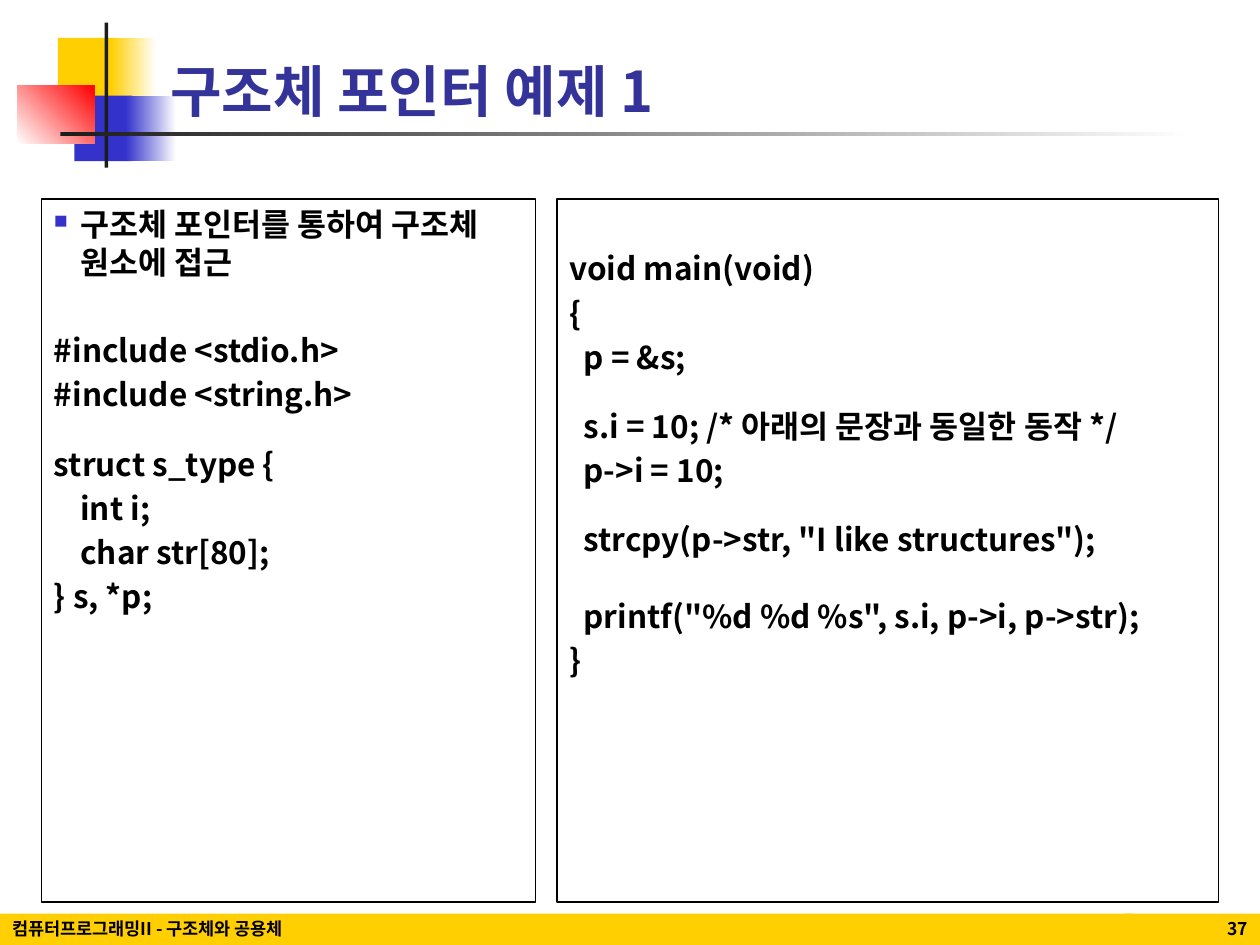
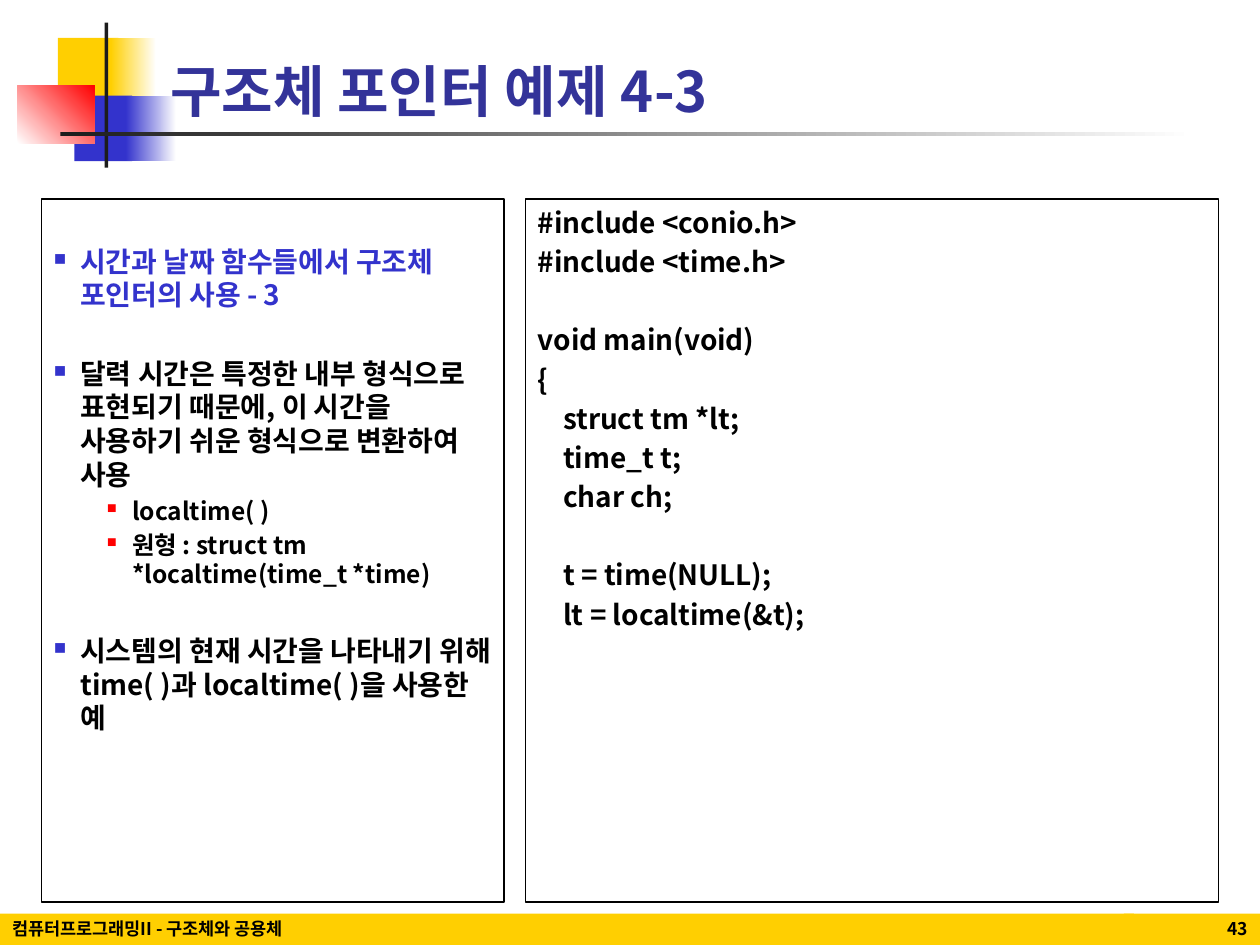
from dataclasses import dataclass

from lxml import etree
from pptx import Presentation
from pptx import util as u
from pptx.dml.color import RGBColor
from pptx.enum import shapes, text
from pptx.oxml.ns import qn

FONT = "Noto Sans CJK KR"
BLACK, WHITE, CHARCOAL = "000000", "FFFFFF", "1C1C1C"
YELLOW, BLUE, RED, NAVY = "FFCF01", "3333CC", "FF0000", "333399"
FOOTER = "컴퓨터프로그래밍II - 구조체와 공용체"

PANEL_TOP, PANEL_HEIGHT = 1.58, 5.58
PANEL_LEFT, PANEL_RIGHT, PANEL_GAP = 0.33, 9.67, 0.17
LINE_HEIGHT = 1.2  # of the font size
PARAGRAPH_GAP = 0.2

# left, top, width, height, first colour, last colour, angle
MOTIF = [
    (0.46, 0.3, 0.48, 0.52, YELLOW, None, 0),
    (0.88, 0.3, 0.36, 0.52, YELLOW, WHITE, 0),
    (0.59, 0.76, 0.46, 0.52, BLUE, None, 0),
    (1, 0.76, 0.4, 0.52, BLUE, WHITE, 0),
    (0.14, 0.68, 0.61, 0.46, WHITE, RED, 45),
    (0.83, 0.18, 0.03, 1.15, CHARCOAL, None, 0),
    (0.48, 1.05, 9, 0.03, CHARCOAL, WHITE, 0),
]


@dataclass
class Line:
    """One paragraph; skip is the free space above it, in lines."""
    content: str
    size: int
    skip: float = 0
    bullet: str = ""
    bullet_size: int = 60
    color: str = BLACK
    margin: float = 0.21
    hanging: float = 0.21
    level: int = 0


def rgb(color):
    return RGBColor.from_string(color)


def set_font(para, size, color):
    font = para.font
    font.name, font.size, font.bold = FONT, u.Pt(size), True
    font.color.rgb = rgb(color)
    defaults = para._p.pPr.find(qn("a:defRPr"))
    etree.SubElement(defaults, qn("a:ea"), typeface=FONT)


def add_bar(slide, left, top, width, height, color, end_color=None, angle=0):
    bar = slide.shapes.add_shape(
        shapes.MSO_SHAPE.RECTANGLE,
        u.Inches(left), u.Inches(top), u.Inches(width), u.Inches(height))
    bar.shadow.inherit = False
    bar.line.fill.background()
    if end_color:
        bar.fill.gradient()
        bar.fill.gradient_angle = angle
        for stop, stop_color in zip(bar.fill.gradient_stops, (color, end_color)):
            stop.color.rgb = rgb(stop_color)
    else:
        bar.fill.solid()
        bar.fill.fore_color.rgb = rgb(color)
    return bar


def add_footer(slide, left, width, content, align):
    frame = add_bar(slide, left, 7.25, width, 0.25, YELLOW).text_frame
    frame.vertical_anchor = text.MSO_ANCHOR.BOTTOM
    para = frame.paragraphs[0]
    para.text = content
    para.alignment = align
    set_font(para, 10, BLACK)


def add_title(slide, content):
    title = slide.shapes.title
    title.left, title.top = u.Inches(1.25), u.Inches(0.17)
    title.width, title.height = u.Inches(8.42), u.Inches(0.86)
    frame = title.text_frame
    frame.auto_size = text.MSO_AUTO_SIZE.NONE
    frame.vertical_anchor = text.MSO_ANCHOR.BOTTOM
    para = frame.paragraphs[0]
    para.text = content
    para.alignment = text.PP_ALIGN.LEFT
    set_font(para, 32, NAVY)
    title.element.getparent().append(title.element)  # bring in front of the motif


def set_indent(para, line):
    para.level = line.level
    props = para._p.get_or_add_pPr()
    props.set("marL", str(u.Inches(line.margin)))
    props.set("indent", str(-u.Inches(line.hanging)))
    if line.bullet:
        bullet_color = etree.SubElement(props, qn("a:buClr"))
        etree.SubElement(bullet_color, qn("a:srgbClr"), val=line.bullet)
        etree.SubElement(props, qn("a:buSzPct"), val=str(line.bullet_size * 1000))
        etree.SubElement(props, qn("a:buChar"), char="■")
    else:
        etree.SubElement(props, qn("a:buNone"))


def add_panel(slide, left, width, lines, top_inset=0.05):
    box = slide.shapes.add_textbox(
        u.Inches(left), u.Inches(PANEL_TOP), u.Inches(width), u.Inches(PANEL_HEIGHT))
    box.line.color.rgb = rgb(BLACK)
    box.line.width = u.Pt(0.75)
    frame = box.text_frame
    frame.word_wrap = True
    frame.margin_top = u.Inches(top_inset)
    for index, line in enumerate(lines):
        para = frame.add_paragraph() if index else frame.paragraphs[0]
        para.add_run().text = line.content
        set_indent(para, line)
        if index:
            gap = PARAGRAPH_GAP
            if line.skip:
                gap += PARAGRAPH_GAP + line.skip * LINE_HEIGHT
            para.space_before = u.Pt(round(gap * line.size, 1))
        set_font(para, line.size, line.color)


def add_slide(deck, title, number, left_width, left_lines, right_lines, insets):
    slide = deck.slides.add_slide(deck.slide_layouts[5])
    for bar in MOTIF:
        add_bar(slide, *bar)
    add_footer(slide, 0, 9, FOOTER, text.PP_ALIGN.LEFT)
    add_footer(slide, 8.92, 1.08, str(number), text.PP_ALIGN.RIGHT)
    add_title(slide, title)
    right_start = PANEL_LEFT + left_width + PANEL_GAP
    add_panel(slide, PANEL_LEFT, left_width, left_lines, insets[0])
    add_panel(slide, right_start, PANEL_RIGHT - right_start, right_lines, insets[1])


def code(source, size, skips, indent=0.21):
    """Turn source lines into paragraphs; skips maps a line index to free lines."""
    return [Line(row, size, skips.get(index, 0), margin=indent, hanging=indent)
            for index, row in enumerate(source)]


def point(content, size, skip=0, color=BLACK):
    return Line(content, size, skip, bullet=BLUE, color=color)


def subpoint(content):
    return Line(content, 14, bullet=RED, bullet_size=55,
                margin=0.62, hanging=0.2, level=1)


def main():
    deck = Presentation()
    deck.slide_width, deck.slide_height = u.Inches(10), u.Inches(7.5)

    declarations = code([
        "#include <stdio.h>",
        "#include <string.h>",
        "struct s_type {",
        "\tint i;",
        "\tchar str[80];",
        "} s, *p;",
    ], 18, {0: 1, 2: 0.5})
    access_code = code([
        "void main(void)",
        "{",
        "  p = &s;",
        "  s.i = 10; /* 아래의 문장과 동일한 동작 */",
        "  p->i = 10;",
        '  strcpy(p->str, "I like structures");',
        '  printf("%d %d %s", s.i, p->i, p->str);',
        "}",
    ], 18, {3: 0.5, 5: 0.5, 6: 0.7}, indent=0.38)
    add_slide(deck, "구조체 포인터 예제 1", 37, 3.92,
              [point("구조체 포인터를 통하여 구조체 원소에 접근", 18)] + declarations,
              access_code, insets=(0.05, 0.4))

    time_points = [
        point("시간과 날짜 함수들에서 구조체 포인터의 사용 - 3", 16, color=BLUE),
        point("달력 시간은 특정한 내부 형식으로 표현되기 때문에, "
              "이 시간을 사용하기 쉬운 형식으로 변환하여 사용", 16, skip=1),
        subpoint("localtime( )"),
        subpoint("원형 : struct tm *localtime(time_t *time)"),
        point("시스템의 현재 시간을 나타내기 위해 time( )과 localtime( )을 사용한 예",
              16, skip=1),
    ]
    time_code = code([
        "#include <conio.h>",
        "#include <time.h>",
        "void main(void)",
        "{",
        "    struct tm *lt;",
        "    time_t t;",
        "    char ch;",
        "    t = time(NULL);",
        "    lt = localtime(&t);",
    ], 16, {2: 1, 7: 1})
    add_slide(deck, "구조체 포인터 예제 4-3", 43, 3.67, time_points, time_code,
              insets=(0.36, 0.05))

    deck.save("out.pptx")


if __name__ == "__main__":
    main()
